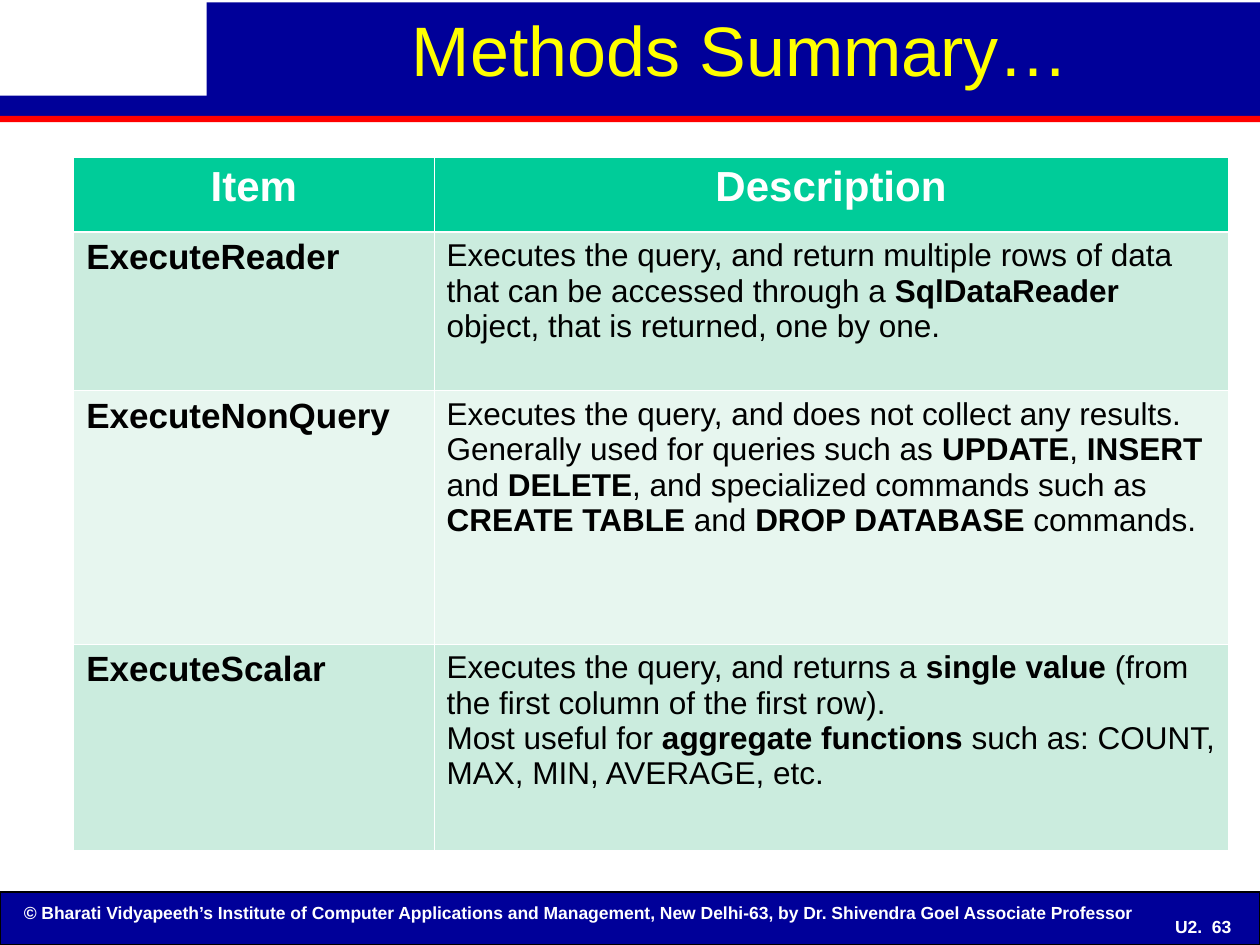
import pptx
import pptx.util
import pptx.dml.color
import pptx.enum.shapes
import pptx.enum.text
import pptx.oxml.ns
import lxml.etree

Pt = pptx.util.Pt
RGB = pptx.dml.color.RGBColor
ALIGN = pptx.enum.text.PP_ALIGN
ANCHOR = pptx.enum.text.MSO_ANCHOR
RECT = pptx.enum.shapes.MSO_SHAPE.RECTANGLE
qn = pptx.oxml.ns.qn

NAVY = RGB(0x00, 0x00, 0x99)
RED = RGB(0xFF, 0x00, 0x00)
YELLOW = RGB(0xFF, 0xFF, 0x00)
WHITE = RGB(0xFF, 0xFF, 0xFF)
BLACK = RGB(0x00, 0x00, 0x00)
GREEN = RGB(0x00, 0xCC, 0x99)
MINT = RGB(0xCB, 0xEC, 0xDE)
PALE = RGB(0xE7, 0xF6, 0xEF)

deck = pptx.Presentation()
deck.slide_width = pptx.util.Inches(10)
deck.slide_height = pptx.util.Inches(7.5)
slide = deck.slides.add_slide(deck.slide_layouts[6])
shapes = slide.shapes


def place(x, y, w, h):
    """Turn percentages of the slide's width and height into lengths."""
    wide, high = deck.slide_width / 100, deck.slide_height / 100
    return [round(n) for n in (x * wide, y * high, w * wide, h * high)]


def write(frame, text, size, color, align=ALIGN.LEFT, bold=False):
    """Write one paragraph per line; each * switches bold on or off."""
    frame.word_wrap = True
    for i, line in enumerate(text.split("\n")):
        para = frame.add_paragraph() if i else frame.paragraphs[0]
        para.alignment = align
        for j, part in enumerate(line.split("*")):
            run = para.add_run()
            run.text = part
            run.font.name = "Arial"
            run.font.size = Pt(size)
            run.font.bold = bold or j % 2 == 1
            run.font.color.rgb = color


# Header bands and footer bar
bands = [
    (0, 10.13, 100, 2.13, NAVY),
    (0, 12.27, 100, 0.67, RED),
    (16.4, 0.27, 83.6, 10.13, NAVY),
    (0, 94.4, 100, 5.6, NAVY),
]
for *area, fill in bands:
    band = shapes.add_shape(RECT, *place(*area))
    band.shadow.inherit = False
    band.fill.solid()
    band.fill.fore_color.rgb = fill
    band.line.fill.background()
band.line.color.rgb = BLACK
band.line.width = Pt(0.75)

# Title, copyright line and page number
credit = (
    "© Bharati Vidyapeeth’s Institute of Computer Applications and "
    "Management, New Delhi-63, by Dr. Shivendra Goel Associate Professor"
)
labels = [
    ((0.9, 94.8, 91.8, 3.6), credit, 10, WHITE, ALIGN.LEFT, True, ANCHOR.TOP),
    ((91.1, 95.7, 8.8, 4.7), "U2.  63", 10, WHITE, ALIGN.CENTER, True, ANCHOR.MIDDLE),
    ((17.5, 0, 82.5, 11.07), "Methods Summary…", 40, YELLOW, ALIGN.CENTER, False,
     ANCHOR.TOP),
]
for area, text, size, color, align, bold, anchor in labels:
    frame = shapes.add_textbox(*place(*area)).text_frame
    frame.vertical_anchor = anchor
    write(frame, text, size, color, align, bold)

# Table of methods
rows = [
    ("Item", "Description"),
    ("ExecuteReader",
     "Executes the query, and return multiple rows of data that can be accessed "
     "through a *SqlDataReader* object, that is returned, one by one."),
    ("ExecuteNonQuery",
     "Executes the query, and does not collect any results. Generally used for "
     "queries such as *UPDATE*, *INSERT *and *DELETE*, and specialized commands "
     "such as *CREATE TABLE* and *DROP DATABASE* commands."),
    ("ExecuteScalar",
     "Executes the query, and returns a *single value* (from the first column of "
     "the first row).\n"
     "Most useful for *aggregate functions* such as: COUNT, MAX, MIN, AVERAGE, etc."),
]
wides = [28.6, 63]
highs = [7.87, 16.8, 26.8, 21.87]
fills = [GREEN, MINT, PALE, MINT]
area = place(5.85, 16.67, sum(wides), sum(highs))
table = shapes.add_table(len(rows), len(wides), *area).table
for col, wide in zip(table.columns, wides):
    col.width = place(0, 0, wide, 0)[2]

for r, texts in enumerate(rows):
    table.rows[r].height = place(0, 0, 0, highs[r])[3]
    for c, text in enumerate(texts):
        cell = table.cell(r, c)
        props = cell._tc.get_or_add_tcPr()
        for side in "LRTB":
            thick = (r, side) in ((0, "B"), (1, "T"))
            edge = lxml.etree.SubElement(props, qn("a:ln" + side))
            edge.set("w", str(Pt(1.47 if thick else 0.45)))
            paint = lxml.etree.SubElement(edge, qn("a:solidFill"))
            lxml.etree.SubElement(paint, qn("a:srgbClr")).set("val", str(WHITE))
        cell.fill.solid()
        cell.fill.fore_color.rgb = fills[r]
        if r == 0:
            write(cell.text_frame, text, 24, WHITE, ALIGN.CENTER, True)
        else:
            write(cell.text_frame, text, 18 if c else 20, BLACK, bold=c == 0)

deck.save("out.pptx")
